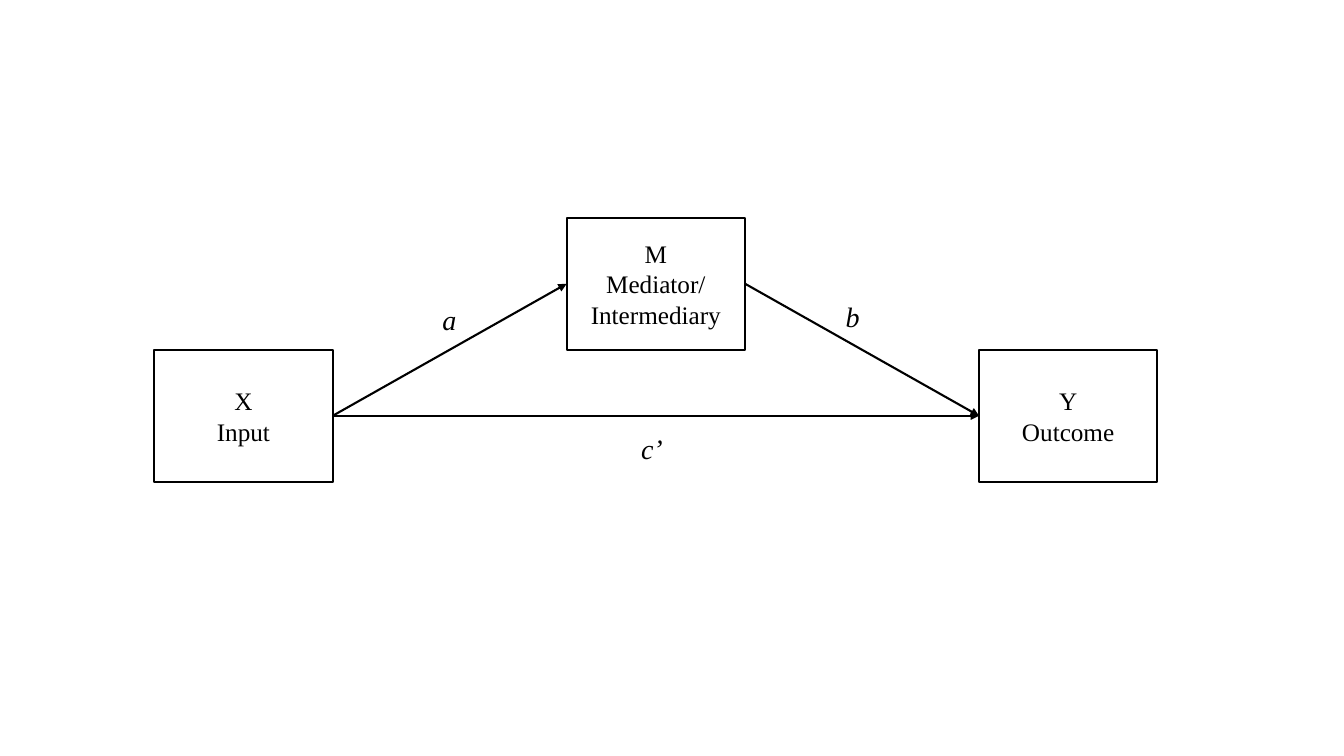
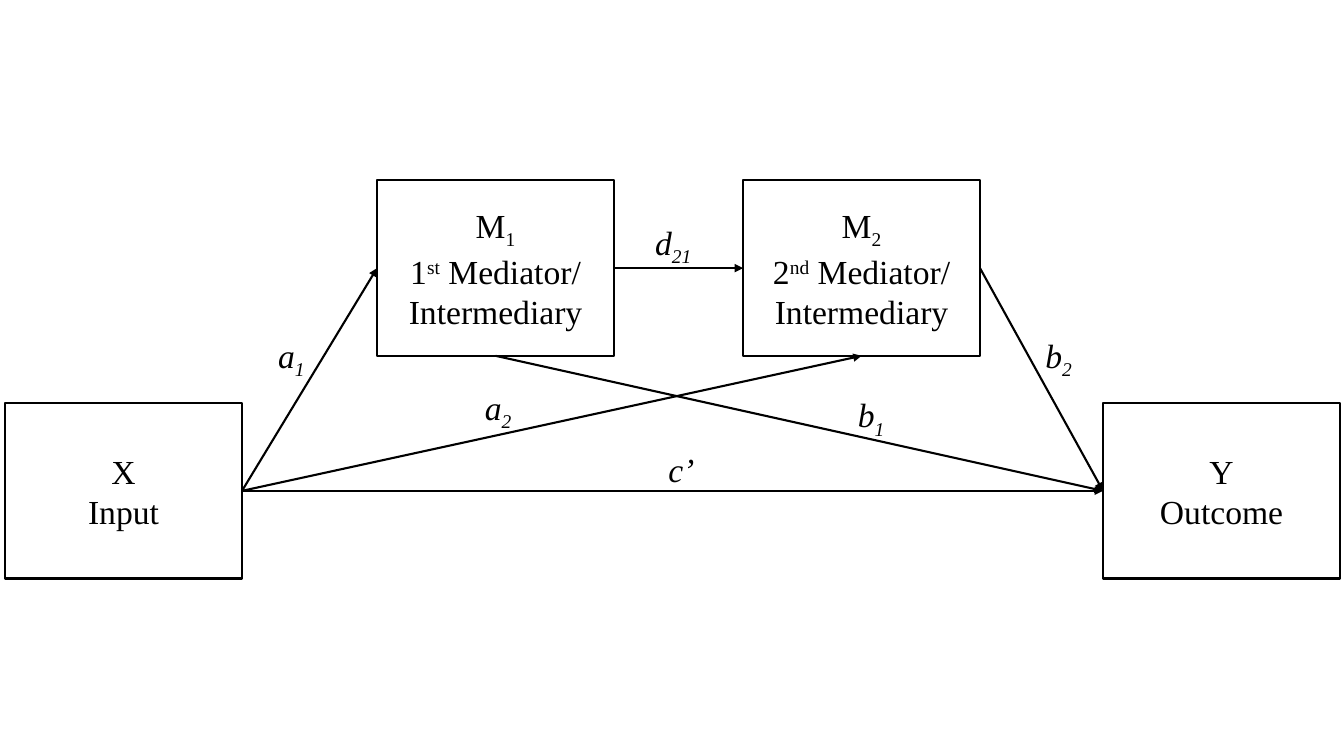
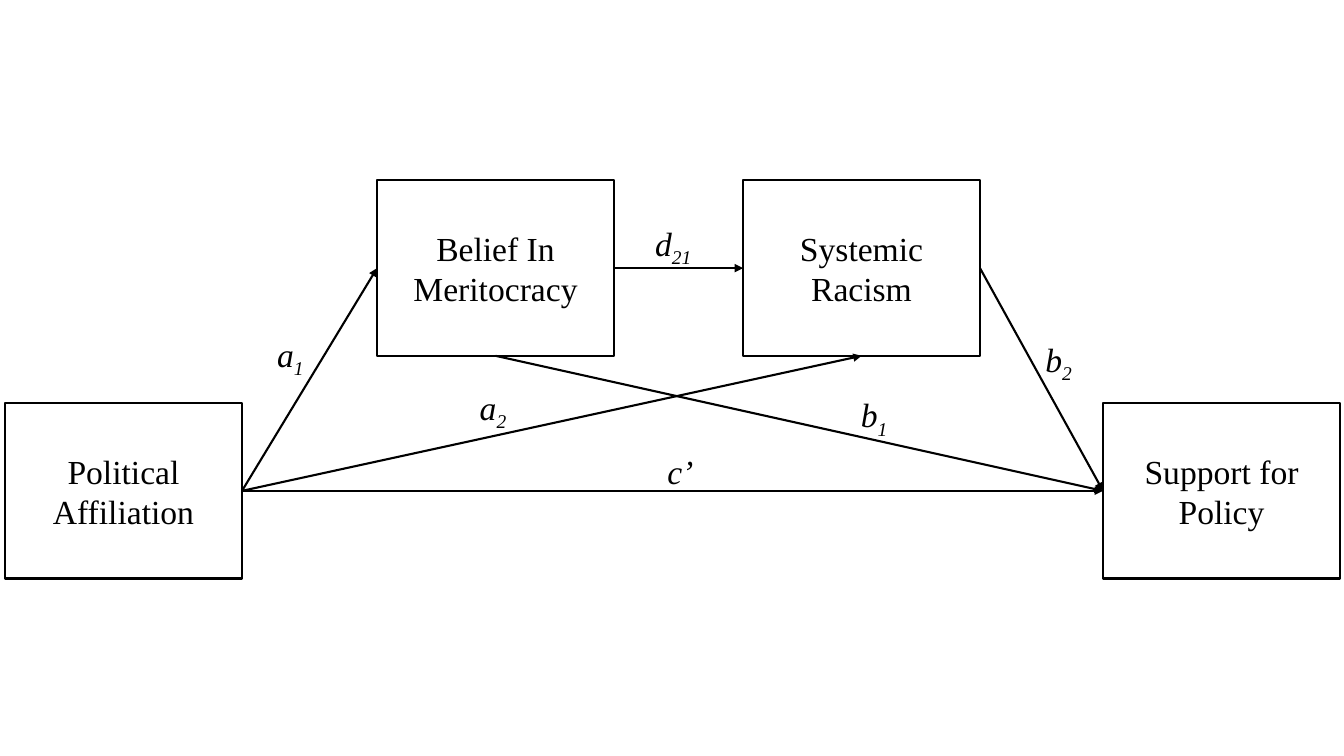
from collections import namedtuple

from lxml.etree import SubElement
from pptx import Presentation
from pptx.dml.color import RGBColor
from pptx.enum.shapes import MSO_CONNECTOR as Connector, MSO_SHAPE as Shape
from pptx.enum.text import MSO_ANCHOR as Anchor, MSO_AUTO_SIZE as AutoSize, PP_ALIGN as Align
from pptx.oxml.ns import qn
from pptx.util import Inches, Pt

Theme = namedtuple("Theme", "ink paper font stroke")
THEME = Theme(RGBColor(0, 0, 0), RGBColor(255, 255, 255), "Times New Roman", Pt(1.5))

# One model: box size, grid columns and rows, type sizes, boxes, arrows, labels
Model = namedtuple(
    "Model", "box_size columns rows box_type label_type label_height boxes arrows labels")

TOP, LEFT, BOTTOM, RIGHT = range(4)  # connection sites of a rectangle
SUB, SUPER = -25, 30  # baseline shift in percent


def write_spans(para, spans, size, italic=False):
    """Add (text, baseline shift) spans to a paragraph; a newline breaks the line."""
    for text, shift in spans:
        for number, line in enumerate(text.split("\n")):
            if number:
                para.add_line_break()
            span = para.add_run()
            span.text = line
            span.font.name = THEME.font
            span.font.size = Pt(size)
            span.font.color.rgb = THEME.ink
            if italic:
                span.font.italic = True
            if shift:
                span._r.get_or_add_rPr().set("baseline", str(shift * 1000))


def mediator(number, ending):
    """Return the two paragraphs that name a numbered mediator."""
    return [[("M", 0), (number, SUB)],
            [(number, 0), (ending, SUPER), (" Mediator/\nIntermediary", 0)]]


# Boxes: name -> (column, row, paragraphs)
input_text = [[("X", 0)], [("Input", 0)]]
outcome_text = [[("Y", 0)], [("Outcome", 0)]]

simple = Model(
    box_size=(1.77, 1.31),
    columns=[1.53 + 4.09 * step for step in range(3)],
    rows=[2.16 + 1.31 * step for step in range(2)],
    box_type=18, label_type=20, label_height=0.44,
    boxes={
        "M": (1, 0, [[("M", 0)], [("Mediator/\nIntermediary", 0)]]),
        "Y": (2, 1, outcome_text),
        "X": (0, 1, input_text),
    },
    arrows=[("M", RIGHT, "Y", LEFT), ("X", RIGHT, "M", LEFT), ("X", RIGHT, "Y", LEFT)],
    labels=[("b", "", 8.29, 2.92, 0.34), ("a", "", 4.29, 2.95, 0.34),
            ("c’", "", 6.26, 4.23, 0.43)],
)

serial = Model(
    box_size=(2.35, 1.74),
    columns=[0.05, 3.74, 7.37, 10.94],
    rows=[1.79, 4],
    box_type=24, label_type=24, label_height=0.5,
    boxes={
        "M1": (1, 0, mediator("1", "st")),
        "Y": (3, 1, outcome_text),
        "X": (0, 1, input_text),
        "M2": (2, 0, mediator("2", "nd")),
    },
    arrows=[("M1", RIGHT, "M2", LEFT), ("X", RIGHT, "M1", LEFT),
            ("M2", RIGHT, "Y", LEFT), ("X", RIGHT, "Y", LEFT),
            ("X", RIGHT, "M2", BOTTOM), ("M1", BOTTOM, "Y", LEFT)],
    labels=[("c’", "", 6.53, 4.4, 0.57), ("a", "1", 2.66, 3.27, 0.76),
            ("b", "2", 10.27, 3.27, 0.68), ("d", "21", 6.4, 2.15, 0.76),
            ("a", "2", 4.71, 3.79, 0.57), ("b", "1", 8.41, 3.86, 0.51)],
)

# The serial model applied to a study: new wording, labels nudged
topics = {"M1": "Belief In Meritocracy", "Y": "Support for Policy",
          "X": "Political Affiliation", "M2": "Systemic Racism"}
nudges = [(-0.01, 0.02), (-0.01, -0.01), (0, 0.04), (0, 0.01), (-0.05, 0), (0.03, 0)]
study = serial._replace(
    boxes={name: (*serial.boxes[name][:2], [[(topic, 0)]]) for name, topic in topics.items()},
    labels=[(letter, index, left + right, top + down, width)
            for (letter, index, left, top, width), (right, down) in zip(serial.labels, nudges)],
)

deck = Presentation()
deck.slide_width, deck.slide_height = Inches(13.33), Inches(7.5)
blank_layout = deck.slide_layouts[6]

for model in (simple, serial, study):
    page = deck.slides.add_slide(blank_layout)
    width, height = map(Inches, model.box_size)

    boxes = {}
    for name, (column, row, paragraphs) in model.boxes.items():
        box = page.shapes.add_shape(
            Shape.RECTANGLE, Inches(model.columns[column]), Inches(model.rows[row]),
            width, height)
        box.shadow.inherit = False
        box.fill.solid()
        box.fill.fore_color.rgb = THEME.paper
        box.line.color.rgb = THEME.ink
        box.line.width = THEME.stroke
        frame = box.text_frame
        frame.word_wrap = True
        frame.vertical_anchor = Anchor.MIDDLE
        for number, spans in enumerate(paragraphs):
            para = frame.add_paragraph() if number else frame.paragraphs[0]
            para.alignment = Align.CENTER
            write_spans(para, spans, model.box_type)
        boxes[name] = box

    for source, source_site, target, target_site in model.arrows:
        arrow = page.shapes.add_connector(Connector.STRAIGHT, 0, 0, 0, 0)
        arrow.begin_connect(boxes[source], source_site)
        arrow.end_connect(boxes[target], target_site)
        arrow.line.color.rgb = THEME.ink
        arrow.line.width = THEME.stroke
        SubElement(arrow.line._get_or_add_ln(), qn("a:tailEnd"), type="triangle")
        SubElement(arrow._element.spPr, qn("a:effectLst"))

    for letter, index, left, top, label_width in model.labels:
        label = page.shapes.add_textbox(
            Inches(left), Inches(top), Inches(label_width), Inches(model.label_height))
        frame = label.text_frame
        frame.word_wrap = True
        frame.auto_size = AutoSize.SHAPE_TO_FIT_TEXT
        spans = [(letter, 0), (index, SUB)] if index else [(letter, 0)]
        write_spans(frame.paragraphs[0], spans, model.label_type, italic=True)

deck.save("out.pptx")
